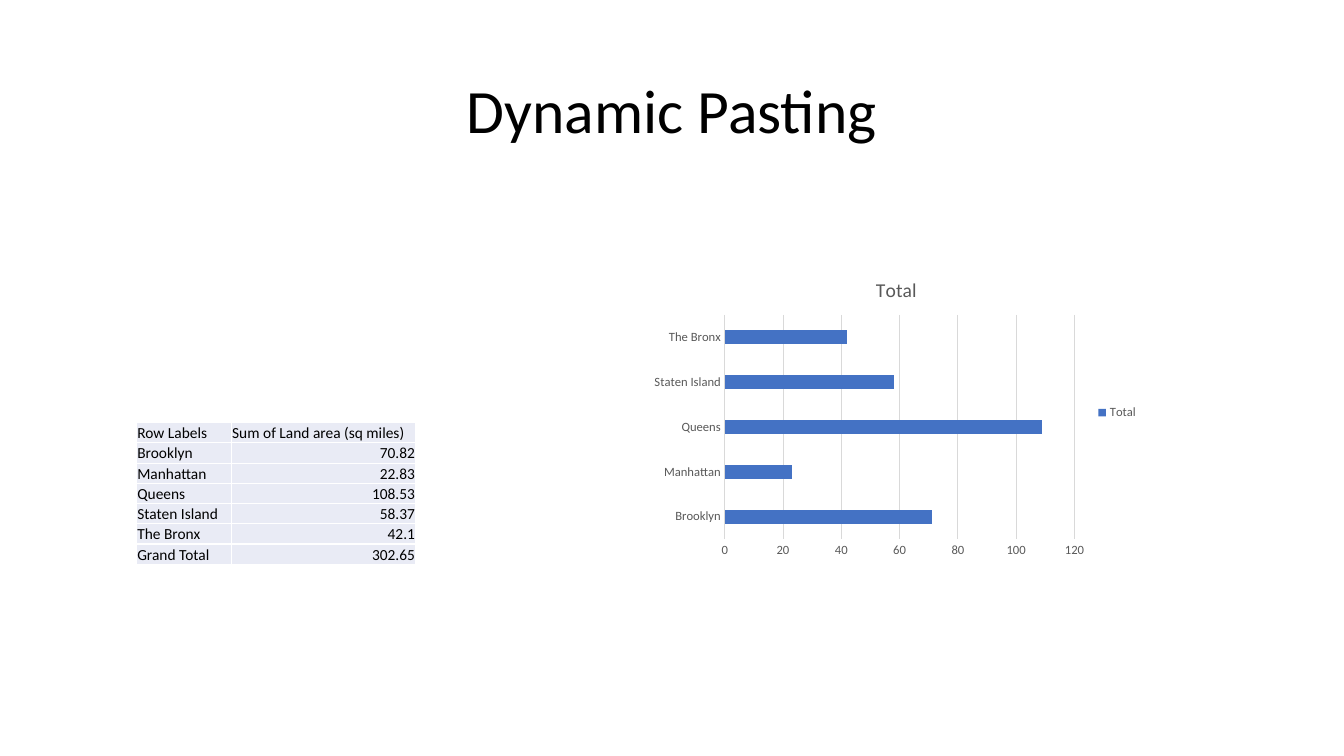
from lxml.etree import SubElement
from pptx import Presentation
from pptx.chart.data import CategoryChartData
from pptx.dml.color import RGBColor
from pptx.enum.chart import XL_CHART_TYPE, XL_LEGEND_POSITION, XL_TICK_MARK
from pptx.enum.text import MSO_ANCHOR, PP_ALIGN
from pptx.oxml.ns import qn
from pptx.util import Cm, Pt

BLACK, GREY, RULE, BLUE, PALE, WHITE = "000000", "595959", "D9D9D9", "4472C4", "E9EBF5", "FFFFFF"
LAND_AREAS = {"Brooklyn": 70.82, "Manhattan": 22.83, "Queens": 108.53,
              "Staten Island": 58.37, "The Bronx": 42.1}


def rgb(hex_color):
    return RGBColor.from_string(hex_color)


class SlideBuilder:
    """Holds the font and the current slide, and adds each kind of element."""

    def __init__(self, slide, font_name):
        self.slide = slide
        self.font_name = font_name

    def style(self, font, size, color):
        font.name, font.size, font.bold = self.font_name, Pt(size), False
        font.color.rgb = rgb(color)

    def rule(self, line, color):
        line.color.rgb = rgb(color)
        line.width = Pt(0.75)

    def title(self, text, left, top, width, height):
        heading = self.slide.shapes.title
        heading.left, heading.top, heading.width, heading.height = left, top, width, height
        heading.text_frame.text = text
        heading.text_frame.vertical_anchor = MSO_ANCHOR.MIDDLE
        paragraph = heading.text_frame.paragraphs[0]
        paragraph.alignment = PP_ALIGN.CENTER
        paragraph.line_spacing = 0.9
        self.style(paragraph.runs[0].font, 44, BLACK)

    def cell(self, cell, text, alignment):
        cell.text_frame.text = text
        cell.margin_left = cell.margin_right = cell.margin_top = Cm(0.02)
        cell.margin_bottom = 0
        cell.vertical_anchor = MSO_ANCHOR.BOTTOM
        paragraph = cell.text_frame.paragraphs[0]
        paragraph.alignment = alignment
        self.style(paragraph.runs[0].font, 11, BLACK)
        properties = cell._tc.get_or_add_tcPr()
        for side in ("a:lnL", "a:lnR", "a:lnT", "a:lnB"):
            border = SubElement(properties, qn(side), w=str(Pt(1)))
            SubElement(SubElement(border, qn("a:solidFill")), qn("a:srgbClr"), val=WHITE)
        cell.fill.solid()
        cell.fill.fore_color.rgb = rgb(PALE)

    def table(self, rows, left, top, widths, row_height):
        table = self.slide.shapes.add_table(
            len(rows), len(widths), left, top, sum(widths), row_height * len(rows)).table
        table.first_row = table.horz_banding = False
        for column, width in zip(table.columns, widths):
            column.width = width
        for row_index, row in enumerate(rows):
            table.rows[row_index].height = row_height
            for column_index, text in enumerate(row):
                is_number = row_index > 0 and column_index > 0
                self.cell(table.cell(row_index, column_index), text,
                          PP_ALIGN.RIGHT if is_number else PP_ALIGN.LEFT)

    def bar_chart(self, name, values, left, top, width, height):
        data = CategoryChartData()
        data.categories = list(values)
        data.add_series(name, [round(value) for value in values.values()])
        chart = self.slide.shapes.add_chart(
            XL_CHART_TYPE.BAR_STACKED, left, top, width, height, data).chart
        self.style(chart.font, 10, BLACK)
        chart.has_title = True
        chart.chart_title.text_frame.text = name
        self.style(chart.chart_title.text_frame.paragraphs[0].runs[0].font, 14, GREY)
        chart.has_legend = True
        chart.legend.position = XL_LEGEND_POSITION.RIGHT
        chart.legend.include_in_layout = False
        self.style(chart.legend.font, 9, GREY)
        for axis in (chart.category_axis, chart.value_axis):
            axis.major_tick_mark = axis.minor_tick_mark = XL_TICK_MARK.NONE
            self.style(axis.tick_labels.font, 9, GREY)
        self.rule(chart.category_axis.format.line, RULE)
        chart.value_axis.format.line.fill.background()
        chart.value_axis.has_major_gridlines = True
        self.rule(chart.value_axis.major_gridlines.format.line, RULE)
        plot = chart.plots[0]
        plot.gap_width, plot.overlap, plot.vary_by_categories = 219, 100, False
        bars = plot.series[0].format.fill
        bars.solid()
        bars.fore_color.rgb = rgb(BLUE)


presentation = Presentation()
presentation.slide_width, presentation.slide_height = Cm(33.87), Cm(19.05)
title_only = presentation.slide_layouts[5]
builder = SlideBuilder(presentation.slides.add_slide(title_only), "Calibri")

builder.title("Dynamic Pasting", Cm(2.33), Cm(1.01), Cm(29.21), Cm(3.68))
area_rows = [("Row Labels", "Sum of Land area (sq miles)")]
area_rows += [(borough, str(area)) for borough, area in LAND_AREAS.items()]
area_rows.append(("Grand Total", f"{sum(LAND_AREAS.values()):.2f}"))
builder.table(area_rows, Cm(3.44), Cm(10.65), [Cm(2.39), Cm(4.65)], Cm(0.51))
builder.bar_chart("Total", LAND_AREAS, Cm(16.24), Cm(6.59), Cm(12.7), Cm(7.62))

presentation.save("out.pptx")
